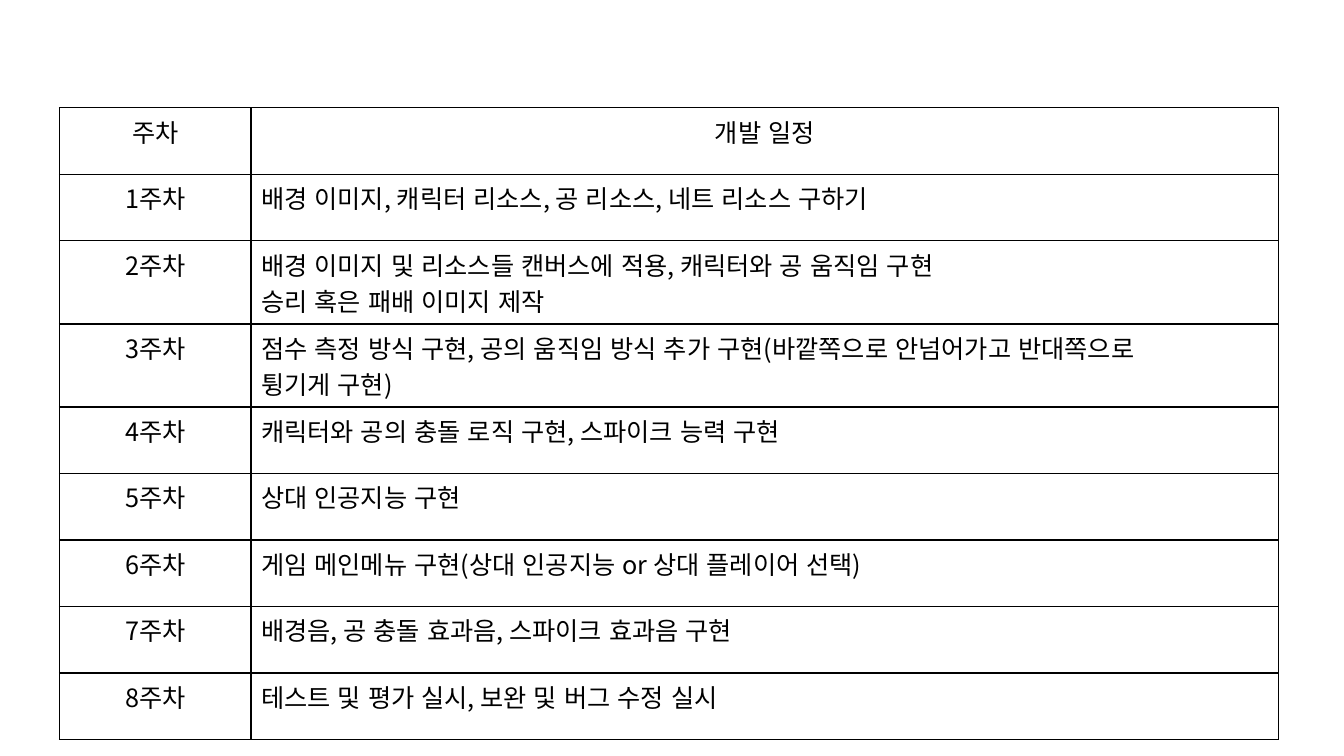
from lxml import etree
from pptx import Presentation
from pptx.dml.color import RGBColor
from pptx.enum.lang import MSO_LANGUAGE_ID
from pptx.enum.text import PP_ALIGN
from pptx.oxml.ns import qn
from pptx.util import Inches, Pt

CENTER, LEFT = PP_ALIGN.CENTER, PP_ALIGN.LEFT
KOREAN = MSO_LANGUAGE_ID.KOREAN

# Content: one list of lines for each week
HEADINGS = ("주차", "개발 일정")
WEEKLY_PLANS = [
    ["배경 이미지, 캐릭터 리소스, 공 리소스, 네트 리소스 구하기"],
    ["배경 이미지 및 리소스들 캔버스에 적용, 캐릭터와 공 움직임 구현",
     "승리 혹은 패배 이미지 제작"],
    ["점수 측정 방식 구현, 공의 움직임 방식 추가 구현(바깥쪽으로 안넘어가고 반대쪽으로",
     "튕기게 구현)"],
    ["캐릭터와 공의 충돌 로직 구현, 스파이크 능력 구현"],
    ["상대 인공지능 구현"],
    ["게임 메인메뉴 구현(상대 인공지능 or 상대 플레이어 선택)"],
    ["배경음, 공 충돌 효과음, 스파이크 효과음 구현"],
    ["테스트 및 평가 실시, 보완 및 버그 수정 실시"],
]

# Look and layout
COLORS = {"text": "000000", "border": "000000", "cell": "FFFFFF"}
FONT, FONT_SIZE, BORDER_WIDTH = "Noto Sans CJK KR", 18, 1
TABLE_LEFT, TABLE_TOP = 0.59, 1.07
COLUMN_WIDTHS = (1.9, 10.19)
ROW_HEIGHT = 0.66


def add_borders(cell):
    properties = cell._tc.get_or_add_tcPr()
    for side in ("a:lnL", "a:lnR", "a:lnT", "a:lnB"):
        line = etree.SubElement(properties, qn(side), w=str(Pt(BORDER_WIDTH)))
        fill = etree.SubElement(line, qn("a:solidFill"))
        etree.SubElement(fill, qn("a:srgbClr"), val=COLORS["border"])


def add_line(para, text, align):
    para.alignment = align
    span = para.add_run()
    span.text = text
    font = span.font
    font.size = Pt(FONT_SIZE)
    font.language_id = KOREAN
    font.color.rgb = RGBColor.from_string(COLORS["text"])
    font.name = FONT
    etree.SubElement(span._r.get_or_add_rPr(), qn("a:ea"), typeface=FONT)


def fill_cell(cell, lines, align):
    add_borders(cell)
    cell.fill.solid()
    cell.fill.fore_color.rgb = RGBColor.from_string(COLORS["cell"])
    frame = cell.text_frame
    for number, text in enumerate(lines):
        para = frame.add_paragraph() if number else frame.paragraphs[0]
        add_line(para, text, align)


def main():
    deck = Presentation()
    deck.slide_width, deck.slide_height = Inches(13.33), Inches(7.5)
    page = deck.slides.add_slide(deck.slide_layouts[6])

    # Schedule table
    row_count = len(WEEKLY_PLANS) + 1
    schedule = page.shapes.add_table(
        row_count, len(COLUMN_WIDTHS), Inches(TABLE_LEFT), Inches(TABLE_TOP),
        Inches(sum(COLUMN_WIDTHS)), Inches(ROW_HEIGHT * row_count)).table
    schedule.first_row = schedule.horz_banding = False
    for column, width in zip(schedule.columns, COLUMN_WIDTHS):
        column.width = Inches(width)
    for row in schedule.rows:
        row.height = Inches(ROW_HEIGHT)

    # Heading row
    for column, heading in enumerate(HEADINGS):
        fill_cell(schedule.cell(0, column), [heading], CENTER)

    # One row a week
    for week, plan in enumerate(WEEKLY_PLANS, start=1):
        fill_cell(schedule.cell(week, 0), [f"{week}주차"], CENTER)
        fill_cell(schedule.cell(week, 1), plan, LEFT)

    deck.save("out.pptx")


if __name__ == "__main__":
    main()
